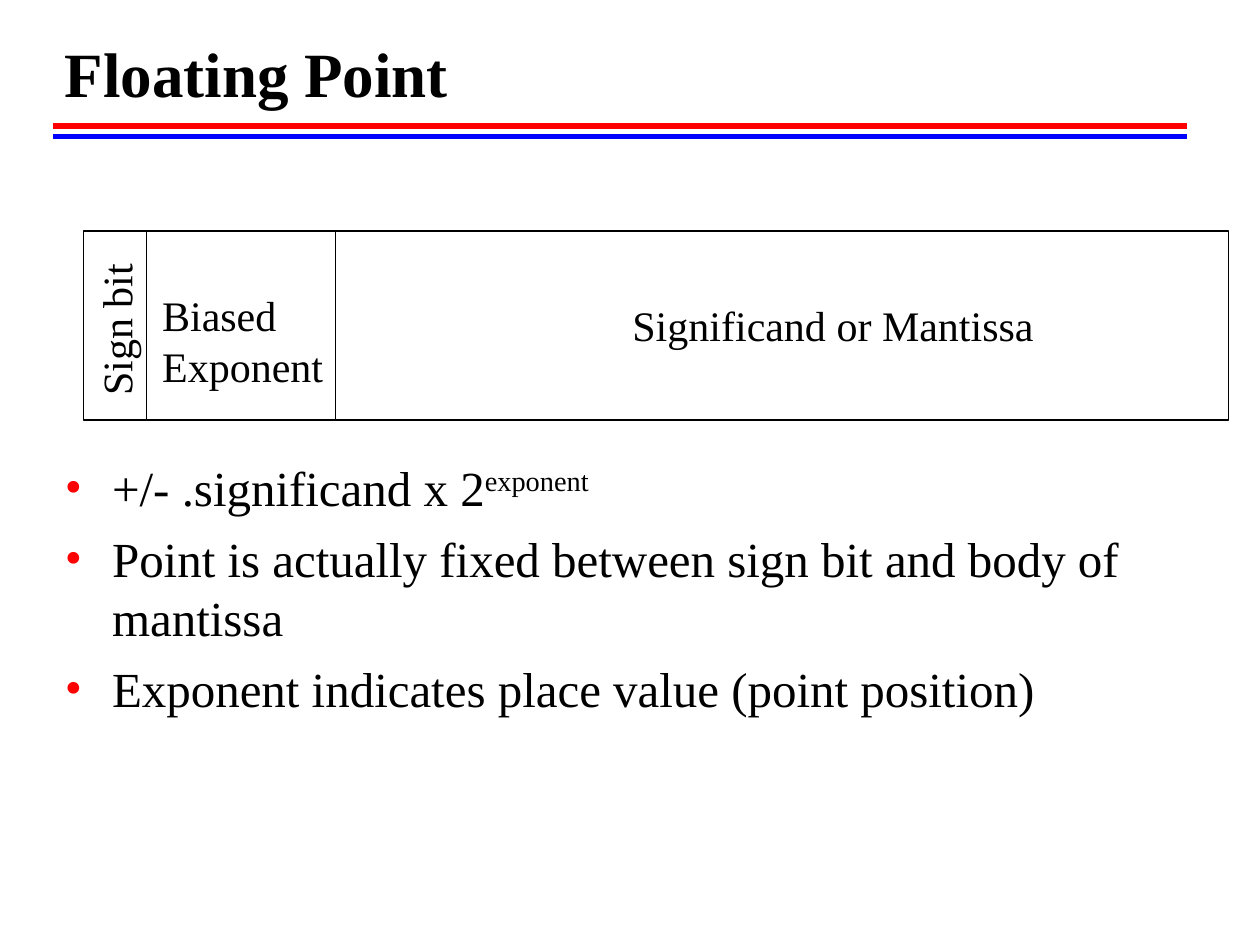
import pptx
import pptx.dml.color
import pptx.enum.shapes
import pptx.enum.text
import pptx.util
from lxml import etree
from pptx.oxml.ns import qn
from pptx.util import Cm


def colour(code):
    return pptx.dml.color.RGBColor.from_string(code)


class SlideBuilder:
    """Holds the style and the current slide; lengths are in centimetres."""

    FONT = "Times New Roman"
    BLACK, RED, BLUE = "000000", "FF0000", "0000FF"
    TITLE = {"size": pptx.util.Pt(36), "bold": True}
    BODY = {"size": pptx.util.Pt(28)}
    LABEL = {"size": pptx.util.Pt(24)}
    BULLET_INDENT = 0.95

    def __init__(self, slide):
        self.slide = slide

    def rule(self, left, right, y, code):
        line = self.slide.shapes.add_connector(
            pptx.enum.shapes.MSO_CONNECTOR.STRAIGHT,
            Cm(left), Cm(y), Cm(right), Cm(y))
        line.line.color.rgb = colour(code)
        line.line.width = pptx.util.Pt(3)
        etree.SubElement(line._element.spPr, qn("a:effectLst"))

    def field(self, left, top, width, height):
        box = self.slide.shapes.add_shape(
            pptx.enum.shapes.MSO_SHAPE.RECTANGLE,
            Cm(left), Cm(top), Cm(width), Cm(height))
        box.shadow.inherit = False
        box.fill.background()
        box.line.color.rgb = colour(self.BLACK)
        box.line.width = pptx.util.Pt(0.75)

    def text(self, place, paragraphs, style, wrap=False, bullets=False,
             rotation=0, anchor=pptx.enum.text.MSO_ANCHOR.TOP):
        """Each paragraph is a list of (text, superscript percent) runs."""
        box = self.slide.shapes.add_textbox(*map(Cm, place))
        box.rotation = rotation
        frame = box.text_frame
        frame.word_wrap = wrap
        frame.vertical_anchor = anchor
        if not wrap:
            frame.auto_size = pptx.enum.text.MSO_AUTO_SIZE.SHAPE_TO_FIT_TEXT
        for index, runs in enumerate(paragraphs):
            paragraph = frame.add_paragraph() if index else frame.paragraphs[0]
            if bullets:
                if index:
                    paragraph.space_before = pptx.util.Pt(7)
                self.bullet(paragraph)
            for content, raised in runs:
                run = paragraph.add_run()
                run.text = content
                for name, value in {"name": self.FONT, **style}.items():
                    setattr(run.font, name, value)
                run.font.color.rgb = colour(self.BLACK)
                if raised:
                    run._r.get_or_add_rPr().set("baseline", str(raised * 1000))

    def bullet(self, paragraph):
        properties = paragraph._p.get_or_add_pPr()
        properties.set("marL", str(Cm(self.BULLET_INDENT)))
        properties.set("indent", str(-Cm(self.BULLET_INDENT)))
        tint = etree.SubElement(properties, qn("a:buClr"))
        etree.SubElement(tint, qn("a:srgbClr"), val=self.RED)
        etree.SubElement(properties, qn("a:buFont"), typeface=self.FONT)
        etree.SubElement(properties, qn("a:buChar"), char="•")


def main():
    presentation = pptx.Presentation()
    presentation.slide_width, presentation.slide_height = Cm(25.4), Cm(19.05)
    builder = SlideBuilder(
        presentation.slides.add_slide(presentation.slide_layouts[6]))

    # Title with its double rule
    for y, code in ((2.75, builder.BLUE), (2.54, builder.RED)):
        builder.rule(1.06, 23.92, y, code)
    builder.text((1.06, 0.64, 22.86, 1.7), [[("Floating Point", 0)]],
                 builder.TITLE, wrap=True,
                 anchor=pptx.enum.text.MSO_ANCHOR.BOTTOM)

    # Fields of the number, side by side
    left = 1.69
    for width in (1.27, 3.81, 17.99):
        builder.field(left, 4.66, width, 3.81)
        left += width

    # Field labels; the turned one has room to stay on one line
    labels = (
        ((0.66, 5.92, 3.35, 1.27), ["Sign bit"], 270),
        ((3.02, 5.72, 3.76, 2.29), ["Biased", "Exponent"], 0),
        ((12.5, 5.92, 8.59, 1.27), ["Significand or Mantissa"], 0),
    )
    for place, lines, rotation in labels:
        builder.text(place, [[(line, 0)] for line in lines],
                     builder.LABEL, rotation=rotation)

    # Explanation
    builder.text((1.06, 9.1, 22.94, 9.32), [
        [("+/- .significand x 2", 0), ("exponent", 30)],
        [("Point is actually fixed between sign bit and body of mantissa", 0)],
        [("Exponent indicates place value (point position)", 0)],
    ], builder.BODY, wrap=True, bullets=True)

    presentation.save("out.pptx")


if __name__ == "__main__":
    main()
